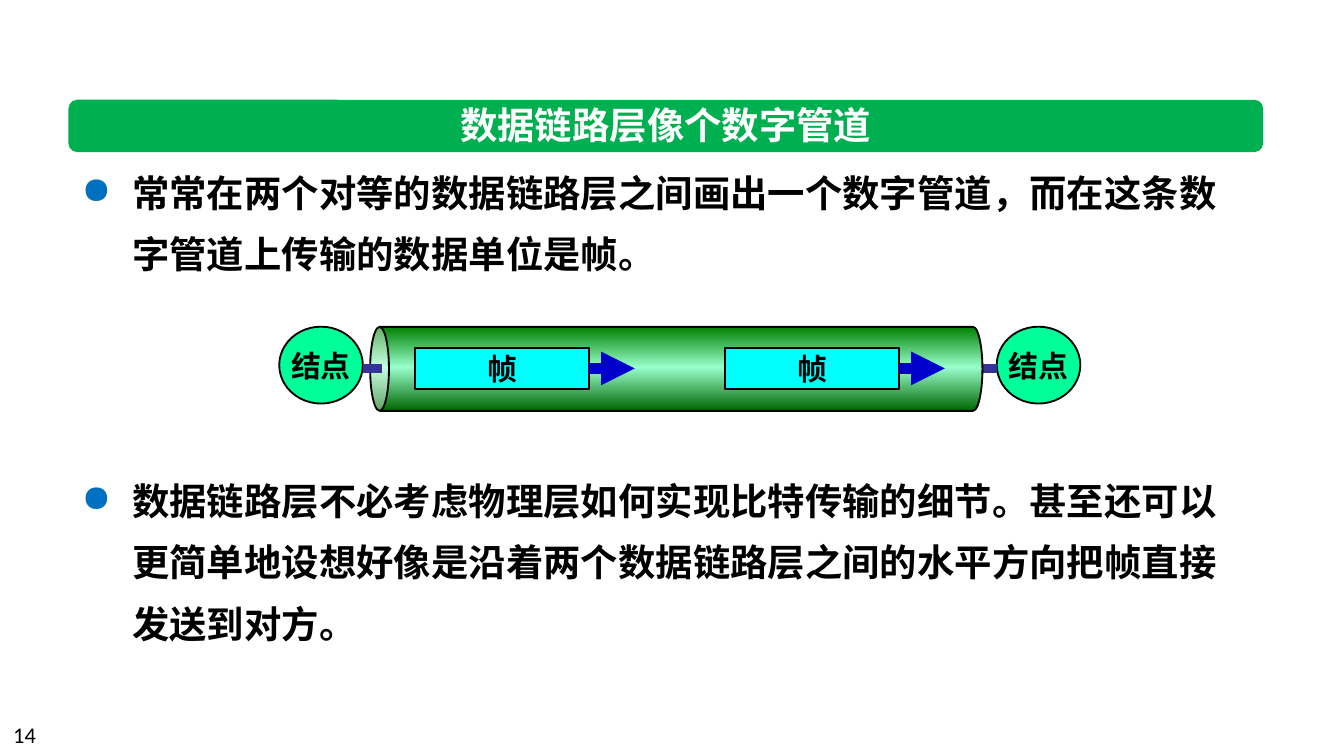
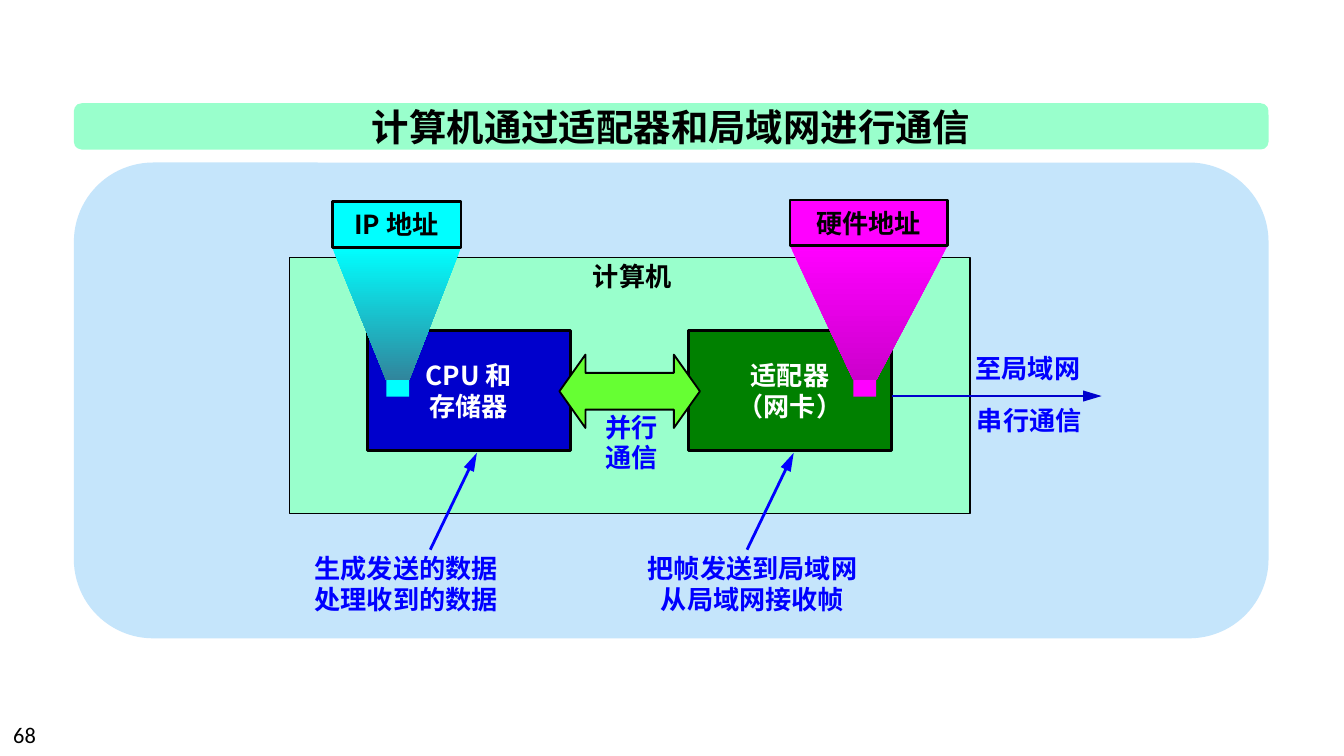
from dataclasses import dataclass
from typing import Any, NamedTuple, Optional

from lxml import etree
from pptx import Presentation
from pptx.dml.color import RGBColor
from pptx.enum.shapes import MSO_CONNECTOR, MSO_SHAPE
from pptx.enum.text import MSO_ANCHOR, PP_ALIGN
from pptx.oxml.ns import qn
from pptx.util import Pt

RECT, ROUND_RECT = MSO_SHAPE.RECTANGLE, MSO_SHAPE.ROUNDED_RECTANGLE
OVAL, CAN = MSO_SHAPE.OVAL, MSO_SHAPE.CAN
DOUBLE_ARROW = MSO_SHAPE.LEFT_RIGHT_ARROW
STRAIGHT = MSO_CONNECTOR.STRAIGHT
LEFT, CENTER = PP_ALIGN.LEFT, PP_ALIGN.CENTER
TOP, MIDDLE = MSO_ANCHOR.TOP, MSO_ANCHOR.MIDDLE

BLACK = RGBColor(0x00, 0x00, 0x00)
WHITE = RGBColor(0xFF, 0xFF, 0xFF)
TITLE_GREEN = RGBColor(0x00, 0xB0, 0x50)
BULLET_BLUE = RGBColor(0x00, 0x70, 0xC0)
NODE_GREEN = RGBColor(0x00, 0xFF, 0x99)
MINT = RGBColor(0x99, 0xFF, 0xCC)
DARK_GREEN = RGBColor(0x00, 0x66, 0x00)
GREEN = RGBColor(0x00, 0x80, 0x00)
LIME = RGBColor(0x66, 0xFF, 0x33)
CYAN = RGBColor(0x00, 0xFF, 0xFF)
TEAL = RGBColor(0x31, 0x85, 0x9C)
MAGENTA = RGBColor(0xFF, 0x00, 0xFF)
PURPLE = RGBColor(0xCC, 0x00, 0xCC)
INDIGO = RGBColor(0x33, 0x33, 0x99)
NAVY = RGBColor(0x00, 0x00, 0xCC)
BLUE = RGBColor(0x00, 0x00, 0xFF)
SKY = RGBColor(0xC5, 0xE5, 0xFB)

CJK_FONT, NUMBER_FONT = "Noto Sans CJK SC", "Calibri"
BAND_WIDTH = 640


class Box(NamedTuple):
    left: float
    top: float
    width: float
    height: float

    def lengths(self) -> tuple:
        return tuple(Pt(value) for value in self)


class Point(NamedTuple):
    x: float
    y: float


class Stop(NamedTuple):
    percent: int
    color: RGBColor


@dataclass(frozen=True)
class TextStyle:
    size: float
    color: RGBColor = BLACK
    bold: bool = True
    font: str = CJK_FONT
    align: Any = CENTER
    spacing: Optional[float] = None


@dataclass(frozen=True)
class Label:
    box: Box
    text: str
    style: TextStyle


@dataclass(frozen=True)
class Arrow:
    start: Point
    end: Point
    color: RGBColor


@dataclass(frozen=True)
class Address:
    """An address label whose beam narrows down to a small chip."""
    text: str
    box: Box
    chip: Box
    color: RGBColor
    shade: RGBColor


BODY = TextStyle(20, align=LEFT, spacing=Pt(33))
NODE = TextStyle(16)
PART = TextStyle(14, WHITE)
CAPTION = TextStyle(14)
NOTE = TextStyle(14, BLUE, align=LEFT)
PAGE_NUMBER = TextStyle(12, bold=False, font=NUMBER_FONT, align=LEFT)


def set_values(target: Any, values: dict) -> None:
    for name, value in values.items():
        setattr(target, name, value)


def write(frame: Any, text: str, style: TextStyle, wrap: bool = False, anchor: Any = TOP) -> None:
    """Fill a text frame, one paragraph for each line of text."""
    set_values(frame, {"word_wrap": wrap, "vertical_anchor": anchor})
    for index, line in enumerate(text.split("\n")):
        paragraph = frame.add_paragraph() if index else frame.paragraphs[0]
        set_values(paragraph, {"alignment": style.align, "line_spacing": style.spacing})
        run = paragraph.add_run()
        run.text = line
        run.font.color.rgb = style.color
        set_values(run.font, {"size": Pt(style.size), "bold": style.bold, "name": style.font})
        etree.SubElement(run.font._element, qn("a:ea"), typeface=style.font)


def add_label(slide: Any, label: Label, wrap: bool = False) -> Any:
    frame = slide.shapes.add_textbox(*label.box.lengths()).text_frame
    write(frame, label.text, label.style, wrap)
    return frame


def paint(shape: Any, fill: Optional[RGBColor], outline: Optional[float] = None) -> None:
    shape.shadow.inherit = False
    if fill is not None:
        shape.fill.solid()
        shape.fill.fore_color.rgb = fill
    if outline is None:
        shape.line.fill.background()
    else:
        shape.line.color.rgb = BLACK
        shape.line.width = Pt(outline)


def paint_gradient(shape: Any, stops: list[Stop], angle: int) -> None:
    """Give a linear gradient; the angle runs clockwise in degrees."""
    shape.fill.gradient()
    gradient = shape.element.spPr.find(qn("a:gradFill"))
    stop_list = gradient.find(qn("a:gsLst"))
    for old_stop in list(stop_list):
        stop_list.remove(old_stop)
    for stop in stops:
        entry = etree.SubElement(stop_list, qn("a:gs"), pos=str(stop.percent * 1000))
        etree.SubElement(entry, qn("a:srgbClr"), val=str(stop.color))
    gradient.find(qn("a:lin")).set("ang", str(angle * 60000))


def add_block(slide: Any, kind: Any, box: Box, fill: Optional[RGBColor],
              outline: Optional[float] = None, text: str = "",
              style: TextStyle = NODE, adjust: tuple = ()) -> Any:
    shape = slide.shapes.add_shape(kind, *box.lengths())
    for index, value in enumerate(adjust):
        shape.adjustments[index] = value
    paint(shape, fill, outline)
    if text:
        write(shape.text_frame, text, style, anchor=MIDDLE)
    return shape


def add_line(slide: Any, start: Point, end: Point, color: RGBColor, width: float,
             head_length: str = "") -> None:
    """Draw a line, with an arrowhead at its end if a head length is given."""
    line = slide.shapes.add_connector(STRAIGHT, *(Pt(value) for value in (*start, *end)))
    line.line.color.rgb = color
    line.line.width = Pt(width)
    properties = line.element.spPr
    if head_length:
        etree.SubElement(properties.find(qn("a:ln")), qn("a:tailEnd"),
                         type="triangle", w="med", len=head_length)
    etree.SubElement(properties, qn("a:effectLst"))


def add_bullet(paragraph: Any) -> None:
    properties = paragraph._p.get_or_add_pPr()
    properties.set("marL", str(Pt(27)))
    properties.set("indent", str(-Pt(27)))
    color = etree.SubElement(properties, qn("a:buClr"))
    etree.SubElement(color, qn("a:srgbClr"), val=str(BULLET_BLUE))
    etree.SubElement(properties, qn("a:buChar"), char="●")


def add_title(slide: Any, text: str, band: Box, fill: RGBColor, color: RGBColor,
              title_top: float) -> None:
    add_block(slide, ROUND_RECT, band, fill, adjust=(0.167,))
    title_box = Box(band.left, title_top, band.width, 31.5)
    add_label(slide, Label(title_box, text, TextStyle(20, color)))


def add_page_number(slide: Any, number: int) -> None:
    add_label(slide, Label(Box(0, 383, 168, 22), str(number), PAGE_NUMBER), wrap=True)


def build_pipe_slide(slide: Any) -> None:
    body = add_label(slide, Label(
        Box(36.7, 78.5, BAND_WIDTH, 273.6),
        "常常在两个对等的数据链路层之间画出一个数字管道，而在这条数字管道上传输的数据单位是帧。\n"
        "数据链路层不必考虑物理层如何实现比特传输的细节。甚至还可以更简单地设想好像是"
        "沿着两个数据链路层之间的水平方向把帧直接发送到对方。", BODY), wrap=True)
    body.paragraphs[1].space_before = Pt(99)
    for paragraph in body.paragraphs:
        add_bullet(paragraph)
    add_title(slide, "数据链路层像个数字管道", Box(36.7, 53.5, BAND_WIDTH, 28),
              TITLE_GREEN, WHITE, 51)

    axis = 197.4
    node_lefts = (149.6, 534)
    for left in node_lefts:
        add_block(slide, OVAL, Box(left, 175, 44.8, 41.2), NODE_GREEN, 1, "结点")
    link_start = Point(node_lefts[0] + 44.8, axis)
    add_line(slide, link_start, Point(node_lefts[1], axis), INDIGO, 4.5)
    pipe = add_block(slide, CAN, Box(339.8, 33.6, 45, 328), None, 1, adjust=(0.224,))
    pipe.rotation = 270
    paint_gradient(pipe, [Stop(0, DARK_GREEN), Stop(52, MINT), Stop(100, GREEN)], 0)
    add_line(slide, link_start, Point(204.5, axis), INDIGO, 4.5)

    frame_width = 93.2
    for left in (222.4, 388.5):
        add_block(slide, RECT, Box(left, 186.6, frame_width, 22), CYAN, 1, "帧")
        right = left + frame_width
        add_line(slide, Point(right, axis), Point(right + 24.5, axis), NAVY, 6, "med")
    add_page_number(slide, 14)


def add_address(slide: Any, address: Address) -> None:
    label, chip = address.box, address.chip
    add_block(slide, RECT, chip, address.color)
    beam_top = label.top + label.height
    builder = slide.shapes.build_freeform(Pt(label.left), Pt(beam_top), scale=1.0)
    builder.add_line_segments([
        (Pt(label.left + label.width), Pt(beam_top)),
        (Pt(chip.left + chip.width), Pt(chip.top + 0.5)),
        (Pt(chip.left), Pt(chip.top + 0.5))], close=True)
    beam = builder.convert_to_shape()
    paint(beam, None)
    paint_gradient(beam, [Stop(0, address.color), Stop(100, address.shade)], 90)
    add_block(slide, RECT, label, address.color, 1.5, address.text, CAPTION)


def build_adapter_slide(slide: Any) -> None:
    add_title(slide, "计算机通过适配器和局域网进行通信", Box(39.6, 55.3, BAND_WIDTH, 24.8),
              MINT, BLACK, 52)
    add_block(slide, ROUND_RECT, Box(39.6, 87.1, BAND_WIDTH, 254.9), SKY)
    add_block(slide, RECT, Box(155.2, 138, 364.4, 137), MINT, 0.75)

    for left, text, fill in ((368.7, "适配器\n（网卡）", GREEN),
                             (196.7, "CPU 和\n存储器", NAVY)):
        add_block(slide, RECT, Box(left, 177, 109, 64.4), fill, 1.5, text, PART)
    add_block(slide, DOUBLE_ARROW, Box(299.7, 190, 75.3, 39.3), LIME, 1, adjust=(0.5, 0.355))

    for arrow in (Arrow(Point(478, 212.2), Point(590.2, 212.2), NAVY),
                  Arrow(Point(230.5, 294.5), Point(255.5, 242.6), BLUE),
                  Arrow(Point(400.2, 294.5), Point(425.2, 242.6), BLUE)):
        add_line(slide, arrow.start, arrow.end, arrow.color, 1.5, "lg")

    tight_note = TextStyle(14, BLUE, align=LEFT, spacing=0.95)
    for label in (
            Label(Box(515.5, 185, 71, 24.5), "至局域网", NOTE),
            Label(Box(516.3, 213.2, 71, 24.5), "串行通信", NOTE),
            Label(Box(161.5, 292.4, 113.5, 41), "生成发送的数据\n处理收到的数据", NOTE),
            Label(Box(339.5, 292.4, 127.4, 41), "把帧发送到局域网\n从局域网接收帧",
                  TextStyle(14, BLUE)),
            Label(Box(310.2, 136, 57, 24.5), "计算机", CAPTION),
            Label(Box(317.2, 218, 42.5, 39.6), "并行\n通信", tight_note)):
        add_label(slide, label)

    for address in (
            Address("IP 地址", Box(178, 108, 69, 24.5), Box(207, 203.2, 12.2, 9.4), CYAN, TEAL),
            Address("硬件地址", Box(423.2, 107.2, 84.4, 24.5), Box(457.2, 203.2, 12.2, 9.4),
                    MAGENTA, PURPLE)):
        add_address(slide, address)
    add_page_number(slide, 68)


def main() -> None:
    deck = Presentation()
    set_values(deck, {"slide_width": Pt(720), "slide_height": Pt(405)})
    blank = deck.slide_layouts[6]
    for build in (build_pipe_slide, build_adapter_slide):
        build(deck.slides.add_slide(blank))
    deck.save("out.pptx")


if __name__ == "__main__":
    main()
